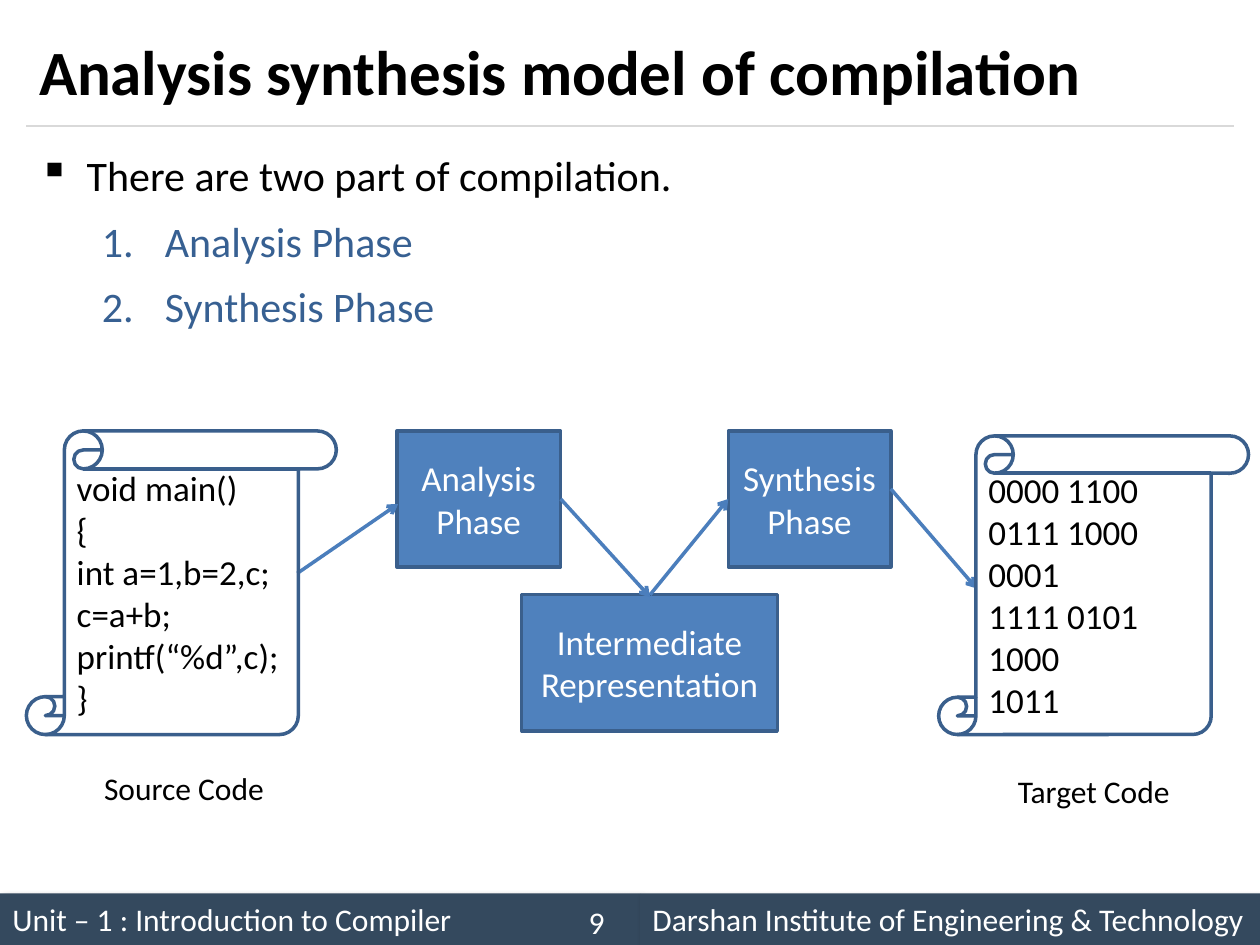
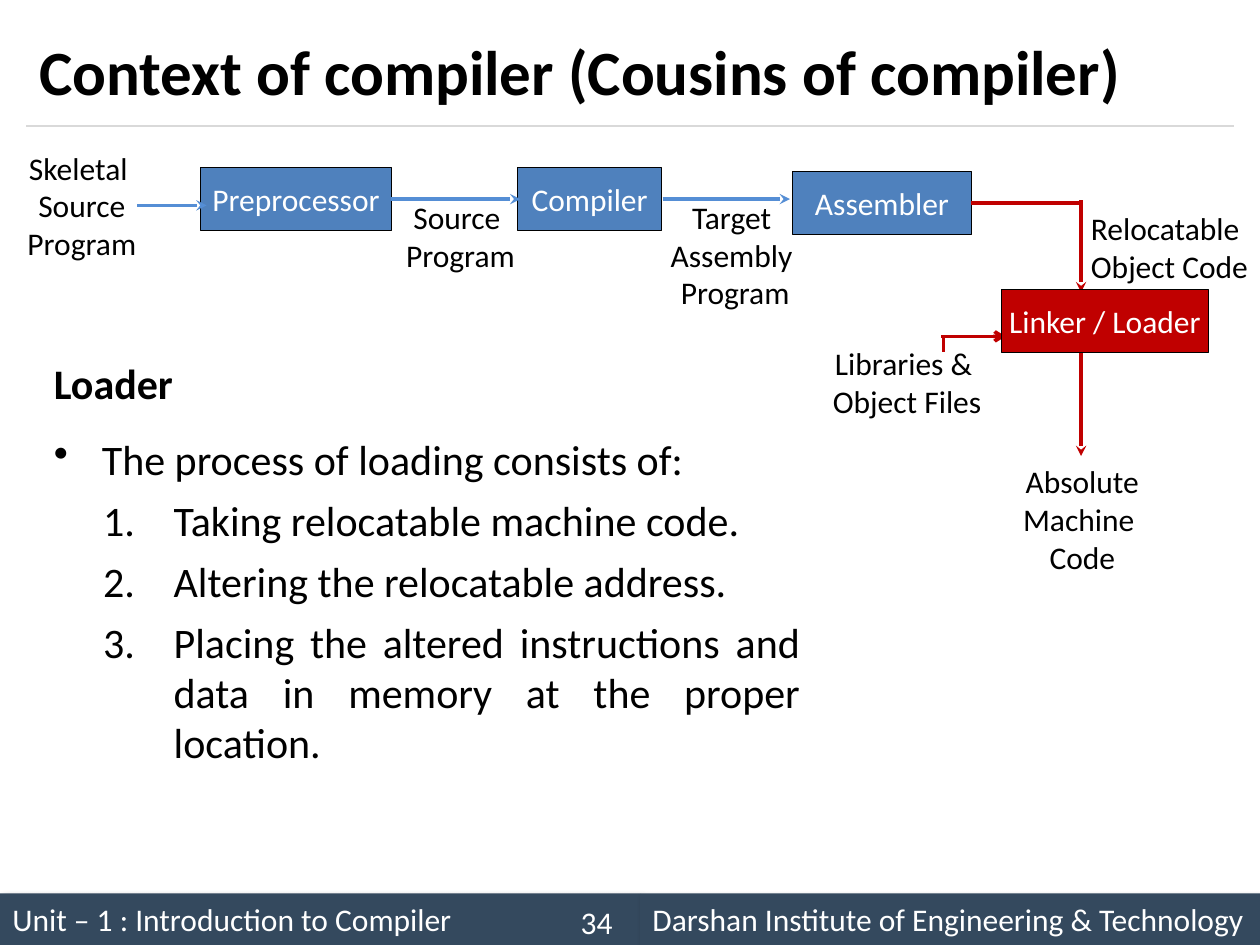
from dataclasses import dataclass

from lxml.etree import SubElement
from pptx import Presentation
from pptx.dml.color import RGBColor
from pptx.enum.shapes import MSO_CONNECTOR, MSO_SHAPE
from pptx.enum.text import MSO_ANCHOR, MSO_AUTO_SIZE, PP_ALIGN
from pptx.oxml.ns import qn
from pptx.util import Inches, Pt

# Shared style
FONT = "Calibri"
BLACK, WHITE, RULE, BAND = "000000", "FFFFFF", "D9D9D9", "34495E"
BLUE, BLUE_EDGE, BLUE_LINE = "4F81BD", "3A5F8C", "4B7EBC"
LIGHT_BLUE, RED, PHASE = "558ED5", "C00000", "376092"
LEFT, CENTER, JUSTIFY = PP_ALIGN.LEFT, PP_ALIGN.CENTER, PP_ALIGN.JUSTIFY
TOP, MIDDLE = MSO_ANCHOR.TOP, MSO_ANCHOR.MIDDLE
MARGIN, WIDTH = 0.21, 9.58
BAND_TOP, BAND_SPLIT = 7.09, 5.08


@dataclass
class Item:
    text: str
    bullet: str = ""
    margin: float = 0
    hang: float = 0
    color: str = BLACK


@dataclass
class Box:
    text: str
    left: float
    top: float
    width: float
    height: float


@dataclass
class Arrow:
    x1: float
    y1: float
    x2: float
    y2: float
    color: str
    head: str = ""


def rgb(color: str) -> RGBColor:
    return RGBColor.from_string(color)


def add_bullet(p, item: Item) -> None:
    pPr = p._p.get_or_add_pPr()
    pPr.set("marL", str(Inches(item.margin)))
    pPr.set("indent", str(Inches(-item.hang)))
    if item.bullet == "1.":
        SubElement(pPr, qn("a:buAutoNum"), type="arabicPeriod")
    else:
        SubElement(pPr, qn("a:buChar"), char=item.bullet)


def write(shape, text, size=18, color=BLACK, bold=False, align=LEFT,
          anchor=TOP, wrap=True, spacing=None, before=0) -> None:
    """Fill a shape with lines of text or with a list of items."""
    tf = shape.text_frame
    tf.auto_size = MSO_AUTO_SIZE.NONE
    tf.word_wrap = wrap
    tf.vertical_anchor = anchor
    if isinstance(text, str):
        text = [Item(line, color=color) for line in text.split("\n")]
    for i, item in enumerate(text):
        p = tf.paragraphs[0] if i == 0 else tf.add_paragraph()
        if item.bullet:
            add_bullet(p, item)
        p.alignment = align
        if spacing:
            p.line_spacing = spacing
        if before and i:
            p.space_before = Pt(before)
        r = p.add_run()
        r.text = item.text
        r.font.name, r.font.size, r.font.bold = FONT, Pt(size), bold
        r.font.color.rgb = rgb(item.color)


def add_label(s, box: Box, **fmt):
    sp = s.shapes.add_textbox(Inches(box.left), Inches(box.top),
                              Inches(box.width), Inches(box.height))
    write(sp, box.text, **fmt)
    return sp


def add_box(s, box: Box, kind=MSO_SHAPE.RECTANGLE, fill="", edge="",
            weight=2.0, **fmt):
    sp = s.shapes.add_shape(kind, Inches(box.left), Inches(box.top),
                            Inches(box.width), Inches(box.height))
    sp.shadow.inherit = False
    if fill:
        sp.fill.solid()
        sp.fill.fore_color.rgb = rgb(fill)
    else:
        sp.fill.background()
    if edge:
        sp.line.color.rgb = rgb(edge)
        sp.line.width = Pt(weight)
    else:
        sp.line.fill.background()
    write(sp, box.text, anchor=MIDDLE, **fmt)
    return sp


def add_line(s, a: Arrow, weight: float = 2) -> None:
    c = s.shapes.add_connector(MSO_CONNECTOR.STRAIGHT, Inches(a.x1), Inches(a.y1),
                               Inches(a.x2), Inches(a.y2))
    c.line.color.rgb = rgb(a.color)
    c.line.width = Pt(weight)
    spPr = c.element.spPr
    if a.head:
        SubElement(spPr.find(qn("a:ln")), qn("a:tailEnd"), type=a.head)
    SubElement(spPr, qn("a:effectLst"))


def add_shadow(sp) -> None:
    effects = sp.element.spPr.find(qn("a:effectLst"))
    shadow = SubElement(effects, qn("a:outerShdw"), blurRad=str(Pt(4)),
                        dist=str(Pt(3)), dir=str(45 * 60000))
    color = SubElement(shadow, qn("a:srgbClr"), val=BLACK)
    SubElement(color, qn("a:alpha"), val="40000")


def new_slide(prs, title: str, number: int):
    s = prs.slides.add_slide(prs.slide_layouts[5])
    # Title and rule
    t = s.shapes.title
    t.left, t.top = Inches(MARGIN), Inches(0.12)
    t.width, t.height = Inches(WIDTH), Inches(0.88)
    write(t, title, size=36, bold=True, anchor=MIDDLE)
    add_line(s, Arrow(MARGIN, 1, MARGIN + WIDTH, 1, RULE), 0.75)
    # Footer bands and slide number
    bands = [
        Box("Unit – 1 : Introduction to Compiler", 0, BAND_TOP, BAND_SPLIT, 0.41),
        Box("Darshan Institute of Engineering & Technology",
            BAND_SPLIT, BAND_TOP, 10 - BAND_SPLIT, 0.41),
    ]
    for band in bands:
        add_shadow(add_box(s, band, fill=BAND, color=WHITE))
    add_label(s, Box(str(number), 4.39, 7.12, 0.69, 0.4), color=WHITE,
              align=CENTER, anchor=MIDDLE)
    return s


def build_model(prs) -> None:
    s = new_slide(prs, "Analysis synthesis model of compilation", 9)
    parts = [Item("There are two part of compilation.", "▪", 0.38, 0.38)]
    parts += [Item(f"{name} Phase", "1.", 1, 0.5, PHASE)
              for name in ("Analysis", "Synthesis")]
    add_label(s, Box(parts, MARGIN, 1.08, WIDTH, 5.83), size=24, align=JUSTIFY,
              spacing=1.14, before=4.8)

    # Phases
    phases = [
        Box("Analysis Phase", 3.15, 3.42, 1.3, 1.08),
        Box("Synthesis Phase", 5.78, 3.42, 1.29, 1.08),
        Box("Intermediate Representation", 4.14, 4.72, 2.03, 1.08),
    ]
    for phase in phases:
        add_box(s, phase, fill=BLUE, edge=BLUE_EDGE, size=20, color=WHITE,
                align=CENTER)

    # Flow from source to target
    for ends in [(2.36, 4.55, 3.16, 4), (4.45, 3.96, 5.16, 4.74),
                 (5.16, 4.72, 5.78, 3.96), (7.07, 3.88, 7.75, 4.67)]:
        add_line(s, Arrow(*ends, BLUE_LINE, "arrow"))

    # Code scrolls and their captions
    source = "void main()\n{\nint a=1,b=2,c;\nc=a+b;\nprintf(“%d”,c);\n}"
    target = "0000 1100\n0111 1000 0001\n1111 0101 1000\n1011"
    scrolls = [
        (Box(source, 0.21, 3.42, 2.46, 2.41), Box("Source Code", 0.67, 6, 1.58, 0.5)),
        (Box(target, 7.45, 3.46, 2.46, 2.37), Box("Target Code", 7.89, 6.03, 1.58, 0.5)),
    ]
    for scroll, caption in scrolls:
        add_box(s, scroll, MSO_SHAPE.VERTICAL_SCROLL, edge=BLUE_EDGE, size=20)
        add_label(s, caption, align=CENTER, anchor=MIDDLE)


def build_context(prs) -> None:
    s = new_slide(prs, "Context of compiler (Cousins of compiler)", 34)

    # Tools
    tool = dict(edge=BLACK, weight=0.75, color=WHITE, align=CENTER, wrap=False)
    for box in [Box("Preprocessor", 1.59, 1.33, 1.52, 0.5),
                Box("Compiler", 4.11, 1.33, 1.14, 0.5),
                Box("Assembler", 6.29, 1.36, 1.42, 0.5)]:
        add_box(s, box, fill=BLUE, **tool)

    # Inputs and outputs of the tools
    for label in [Box("Skeletal \nSource Program", 0.1, 1.13, 1.1, 1.01),
                  Box("Source \nProgram", 3.12, 1.52, 1.07, 0.71),
                  Box("Target \nAssembly \nProgram", 5.22, 1.52, 1.23, 1.01),
                  Box("Absolute \nMachine \nCode", 8.02, 3.62, 1.14, 1.01),
                  Box("Libraries & \nObject Files", 6.45, 2.68, 1.5, 0.71)]:
        add_label(s, label, align=CENTER)
    add_label(s, Box("Relocatable\nObject Code", 8.56, 1.61, 1.46, 0.71), wrap=False)

    # Flow between the tools
    for arrow in [Arrow(1.09, 1.63, 1.64, 1.63, LIGHT_BLUE, "stealth"),
                  Arrow(3.1, 1.58, 4.13, 1.58, LIGHT_BLUE, "stealth"),
                  Arrow(5.26, 1.58, 6.27, 1.58, LIGHT_BLUE, "stealth"),
                  Arrow(7.71, 1.61, 8.58, 1.61, RED),
                  Arrow(8.58, 1.59, 8.58, 2.32, RED, "stealth"),
                  Arrow(8.58, 2.79, 8.58, 3.62, RED, "stealth"),
                  Arrow(7.49, 2.67, 7.49, 2.79, RED),
                  Arrow(7.47, 2.67, 7.98, 2.67, RED, "arrow")]:
        add_line(s, arrow)
    add_box(s, Box("Linker / Loader", 7.95, 2.3, 1.64, 0.5), fill=RED, **tool)

    # Loader explanation
    add_label(s, Box("Loader", 0.33, 2.79, 2.17, 0.5), size=24, bold=True,
              align=JUSTIFY)
    steps = ["Taking relocatable machine code.",
             "Altering the relocatable address.",
             "Placing the altered instructions and data in memory at the "
             "proper location."]
    items = [Item("The process of loading consists of:", "•", 0.38, 0.38)]
    items += [Item(step, "1.", 0.95, 0.56) for step in steps]
    add_label(s, Box(items, 0.33, 3.39, 6.12, 3.75), size=24, align=JUSTIFY, before=6)


def main() -> None:
    prs = Presentation()
    prs.slide_width, prs.slide_height = Inches(10), Inches(7.5)
    build_model(prs)
    build_context(prs)
    prs.save("out.pptx")


if __name__ == "__main__":
    main()
